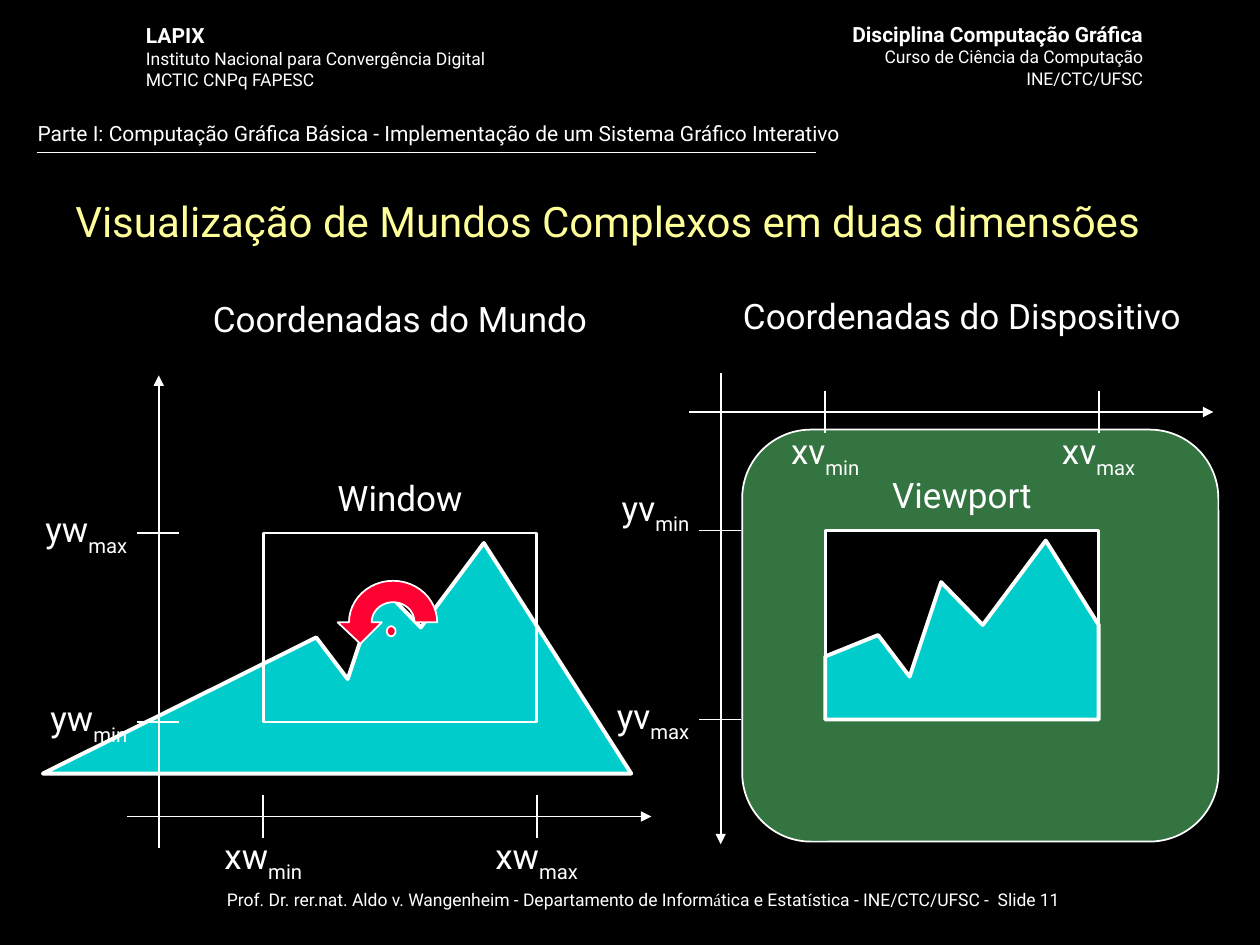
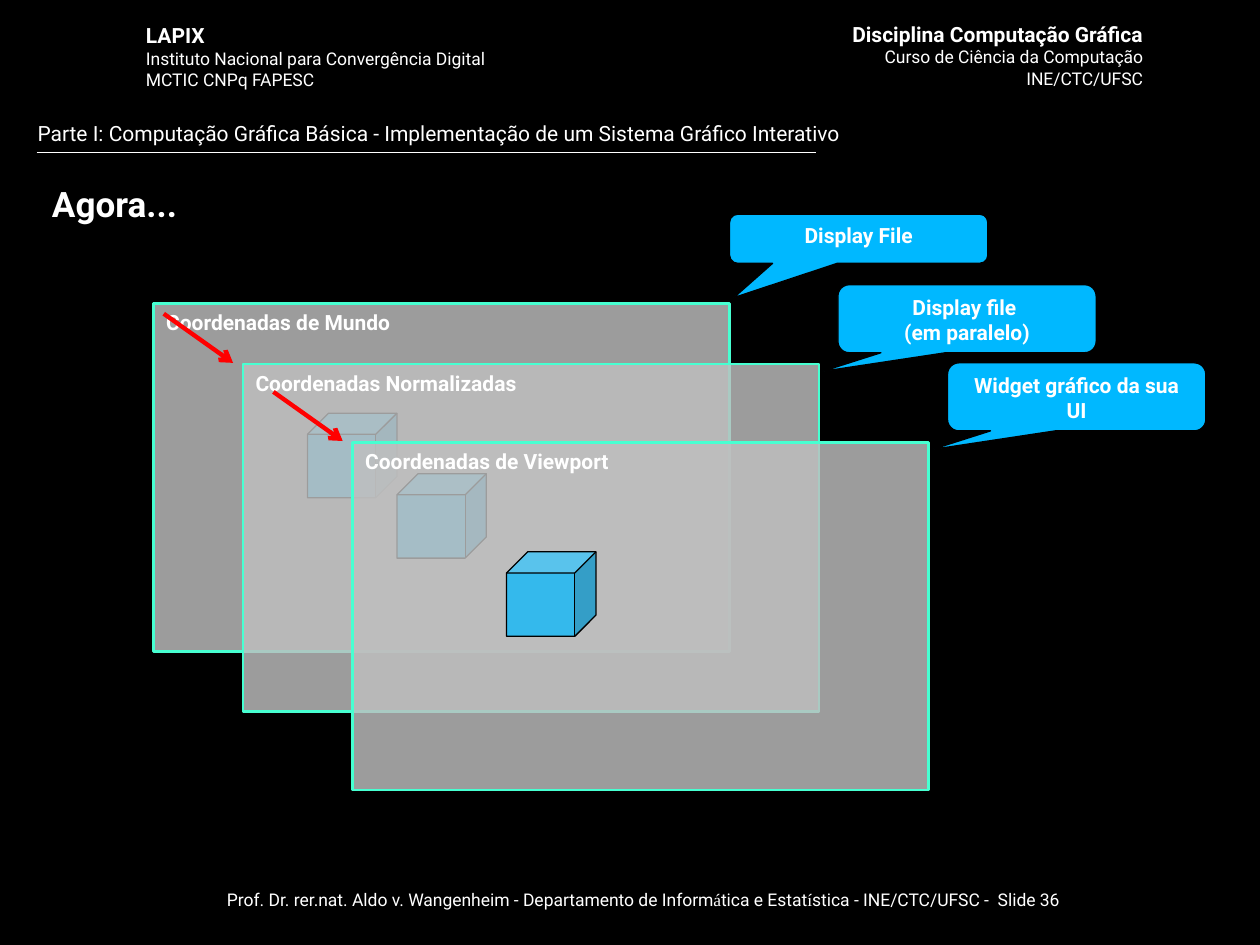
from math import cos, pi, sin

from lxml import etree
from pptx import Presentation
from pptx.dml.color import RGBColor
from pptx.enum.shapes import MSO_CONNECTOR, MSO_SHAPE
from pptx.enum.text import MSO_ANCHOR, MSO_AUTO_SIZE, PP_ALIGN
from pptx.oxml.ns import qn
from pptx.util import Inches, Pt

LEFT, CENTER, RIGHT = PP_ALIGN.LEFT, PP_ALIGN.CENTER, PP_ALIGN.RIGHT
TOP, MIDDLE = MSO_ANCHOR.TOP, MSO_ANCHOR.MIDDLE
GROW = MSO_AUTO_SIZE.SHAPE_TO_FIT_TEXT
STRAIGHT = MSO_CONNECTOR.STRAIGHT
RECT, ROUND, OVAL = MSO_SHAPE.RECTANGLE, MSO_SHAPE.ROUNDED_RECTANGLE, MSO_SHAPE.OVAL
CUBE, CALLOUT = MSO_SHAPE.CUBE, MSO_SHAPE.ROUNDED_RECTANGULAR_CALLOUT

FONT, SERIF = "Roboto", "Times New Roman"
BLACK, WHITE, YELLOW = "000000", "FFFFFF", "FFFF99"
CYAN, GREEN, RED, PINK = "00CCCC", "66E882", "FF0000", "FF0033"
GRAY, MINT, BLUE = "BFBFBF", "47FFD1", "00B8FF"

FRAME_W, FRAME_H = 2.17, 1.5
RIDGE = [(0.42, 0.83), (0.67, 1.16), (0.92, 0.41), (1.25, 0.75), (1.75, 0.08)]


def color(code):
    return RGBColor.from_string(code)


def style(run, size, ink=WHITE, bold=False, font=FONT):
    run.font.size = Pt(size)
    run.font.name = font
    run.font.bold = bold
    run.font.color.rgb = color(ink)


def write(frame, lines, sizes, ink=WHITE, bolds=(False,), align=LEFT):
    frame.text = "\n".join(lines)
    for i, para in enumerate(frame.paragraphs):
        para.alignment = align
        for run in para.runs:
            style(run, sizes[min(i, len(sizes) - 1)], ink, bolds[min(i, len(bolds) - 1)])


def text_box(slide, box, wrap=False, anchor=TOP, fit=True):
    frame = slide.shapes.add_textbox(*map(Inches, box)).text_frame
    frame.word_wrap = wrap
    frame.vertical_anchor = anchor
    if fit:
        frame.auto_size = GROW
    return frame


def label(slide, box, base, sub="", align=CENTER):
    frame = text_box(slide, box)
    write(frame, [base], [20], align=align)
    if sub:
        run = frame.paragraphs[0].add_run()
        run.text = sub
        style(run, 20)
        run._r.get_or_add_rPr().set("baseline", "-30000")


def line(slide, start, end, ink=WHITE, width=1, tip=None):
    link = slide.shapes.add_connector(STRAIGHT, *map(Inches, (*start, *end)))
    link.line.color.rgb = color(ink)
    link.line.width = Pt(width)
    if tip:
        etree.SubElement(link.line._get_or_add_ln(), qn("a:tailEnd"), type=tip)
    etree.SubElement(link._element.spPr, qn("a:effectLst"))


def paint(shape, fill, edge, width, alpha=None):
    shape.shadow.inherit = False
    if fill:
        shape.fill.solid()
        shape.fill.fore_color.rgb = color(fill)
    else:
        shape.fill.background()
    if alpha:
        tint = shape._element.spPr.find(qn("a:solidFill"))[0]
        etree.SubElement(tint, qn("a:alpha"), val=str(alpha * 1000))
    shape.line.color.rgb = color(edge)
    shape.line.width = Pt(width)


def block(slide, kind, box, fill, edge, width, alpha=None, adjust=()):
    shape = slide.shapes.add_shape(kind, *map(Inches, box))
    for i, value in enumerate(adjust):
        shape.adjustments[i] = value
    paint(shape, fill, edge, width, alpha)
    return shape


def outline(slide, left, top, points, fill, width):
    spots = [(Inches(left + x), Inches(top + y)) for x, y in points]
    form = slide.shapes.build_freeform(*spots[0], scale=1.0)
    form.add_line_segments(spots[1:], close=True)
    paint(form.convert_to_shape(), fill, WHITE, width)


def base_slide(deck, number):
    slide = deck.slides.add_slide(deck.slide_layouts[6])
    slide.background.fill.solid()
    slide.background.fill.fore_color.rgb = color(BLACK)
    para = text_box(slide, (0.69, 7.01, 8.83, 0.44), True).paragraphs[0]
    para.alignment = CENTER
    para.space_before = Pt(6.2)
    parts = [
        "Prof. Dr. rer.nat. Aldo v. Wangenheim - Departamento de Inform", "á",
        "tica e Estat", "í", f"stica - INE/CTC/UFSC -  Slide {number}",
    ]
    for part in parts:
        run = para.add_run()
        run.text = part
        style(run, 10, font=SERIF if len(part) == 1 else FONT)
    line(slide, (0.29, 1.21), (6.48, 1.21))
    write(text_box(slide, (0.2, 0.91, 9.5, 0.3), True),
          ["Parte I: Computação Gráfica Básica - Implementação de um Sistema Gráfico Interativo"],
          [12])
    heads = [
        ((6.42, 0.12, 2.75, 0.63), RIGHT,
         ["Disciplina Computação Gráfica", "Curso de Ciência da Computação", "INE/CTC/UFSC"]),
        ((1.06, 0.13, 2.92, 0.65), LEFT,
         ["LAPIX", "Instituto Nacional para Convergência Digital", "MCTIC CNPq FAPESC"]),
    ]
    for box, align, lines in heads:
        write(text_box(slide, box), lines, [12, 10], bolds=(True, False), align=align)
    return slide


def axes(slide, left, top, level, ends, names, subs, lifts, fill=None):
    axis, low = left + 0.25, top + level
    start, end = ends
    line(slide, (axis, top + start), (axis, top + end), tip="triangle")
    line(slide, (left, low), (left + 4.16, low), tip="triangle")
    x, y = left + 1.08, top + 1.25
    mid = x + FRAME_W / 2
    caption, title, letter = names
    for i, sub in enumerate(("min", "max")):
        tick = x + i * FRAME_W
        line(slide, (tick, low - 0.17), (tick, low + 0.17))
        label(slide, (tick - 0.5, low + 0.09, 1, 0.5), "x" + letter, sub)
    for i, (sub, lift) in enumerate(zip(subs, lifts)):
        tick = y + i * FRAME_H
        line(slide, (axis - 0.17, tick), (axis + 0.16, tick))
        label(slide, (left - 0.9, tick - lift, 1, 0.5), "y" + letter, sub, RIGHT)
    block(slide, RECT, (x, y, FRAME_W, FRAME_H), fill, WHITE, 1.5)
    label(slide, (mid - 0.8, y - 0.5, 1.6, 0.44), title)
    label(slide, (mid - 2.2, top - 0.67, 4.4, 0.44), caption)


def world(slide, left, top):
    peaks = [(2.92, 1.91), (-1.75, 1.91)] + RIDGE
    outline(slide, left + 1.08, top + 1.25, peaks, CYAN, 2.25)
    axes(slide, left, top, 3.5, (3.75, 0),
         ("Coordenadas do Mundo", "Window", "w"), ("max", "min"), (0.25, 0.25))
    turn(slide, left + 2.11, top + 1.96)


def device(slide, left, top):
    block(slide, ROUND, (left + 0.42, top + 0.45, 3.78, 3.27), GREEN, WHITE, 1, 50, [0.167])
    axes(slide, left, top, 0.31, (0, 3.74),
         ("Coordenadas do Dispositivo", "Viewport", "v"), ("min", "max"), (0.4, 0.25), BLACK)
    peaks = [(FRAME_W, FRAME_H), (0, FRAME_H), (0, 1)] + RIDGE + [(FRAME_W, 0.75)]
    outline(slide, left + 1.08, top + 1.25, peaks, CYAN, 2.25)


def turn(slide, x, y):
    block(slide, OVAL, (x - 0.05, y + 0.03, 0.07, 0.08), PINK, WHITE, 1)
    steps = [pi * i / 24 for i in range(25)]
    inner = [(-0.17 * cos(a), -0.16 * sin(a)) for a in steps]
    outer = [(0.35 * cos(a), -0.33 * sin(a)) for a in steps]
    tip = [(-0.44, 0), (-0.26, 0.17), (-0.09, 0)]
    outline(slide, x, y, inner + outer + tip, PINK, 1)


def panel(slide, left, top, name, note, shift, height, adjust, arrow=True):
    card = block(slide, RECT, (left, top, 4.57, 2.76), GRAY, MINT, 1.5, 82)
    block(slide, CUBE, (left + 1.22, top + 0.87, 0.71, 0.67), BLUE, BLACK, 0.75, 72)
    dx, dy = shift
    bubble = block(slide, CALLOUT, (left + dx, top + dy, 2.05, height),
                   BLUE, BLACK, 0.75, adjust=adjust)
    for shape, words, align in ((card, name, LEFT), (bubble, note, CENTER)):
        shape.text_frame.word_wrap = True
        shape.text_frame.vertical_anchor = TOP
        write(shape.text_frame, [words], [12], bolds=(True,), align=align)
    if arrow:
        line(slide, (left - 0.63, top - 0.4), (left - 0.08, top - 0.01), RED, 2.5, "arrow")


def views_slide(deck):
    slide = base_slide(deck, 11)
    device(slide, 5.47, 2.96)
    world(slide, 1.01, 2.98)
    title = text_box(slide, (0.5, 1.3, 9.2, 0.9), True, MIDDLE, False)
    write(title, ["Visualização de Mundos Complexos em duas dimensões"], [24], YELLOW)


def layers_slide(deck):
    slide = base_slide(deck, 36)
    write(text_box(slide, (0.26, 1.4, 1.3, 0.44)), ["Agora..."], [20],
          bolds=(True,), align=CENTER)
    near = ((4.72, -0.63), 0.54, (-0.559, 0.773, 0.167))
    panel(slide, 1.22, 2.41, "Coordenadas de Mundo", "Display File",
          (4.57, -0.71), 0.39, (-0.483, 1.196, 0.167), False)
    panel(slide, 1.93, 2.89, "Coordenadas Normalizadas", "Display file \v(em paralelo)", *near)
    panel(slide, 2.8, 3.51, "Coordenadas de Viewport", "Widget gráfico da sua UI", *near)


def main():
    deck = Presentation()
    deck.slide_width, deck.slide_height = Inches(10), Inches(7.5)
    views_slide(deck)
    layers_slide(deck)
    deck.save("out.pptx")


if __name__ == "__main__":
    main()
